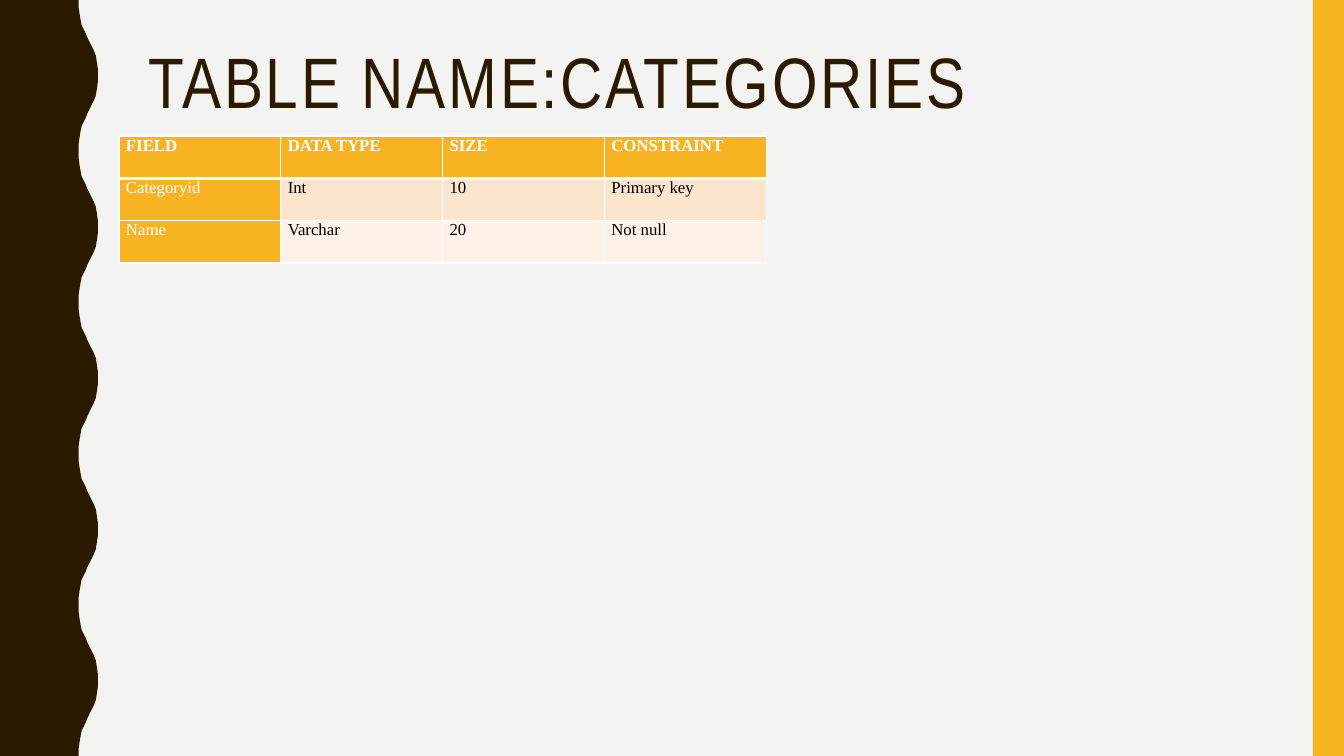
from lxml import etree
from pptx import Presentation
from pptx.dml.color import RGBColor
from pptx.enum.shapes import MSO_SHAPE
from pptx.enum.text import MSO_ANCHOR
from pptx.oxml.ns import qn
from pptx.util import Inches, Pt

COLORS = {
    "background": "F3F3F2", "brown": "2A1A00", "amber": "F8B323",
    "white": "FFFFFF", "black": "000000",
    "band_dark": "FCE5CD", "band_light": "FEF2E8",
}
WIDTH, HEIGHT = 13.33, 7.5
WAVE_PERIOD = 1.5
# Rising half of one wave, from trough to crest, as (x, y)
WAVE_RISE = [
    (0.78, 0), (0.78, 0.07), (0.79, 0.14), (0.8, 0.2), (0.81, 0.25),
    (0.83, 0.29), (0.85, 0.33), (0.87, 0.38), (0.89, 0.42), (0.91, 0.46),
    (0.93, 0.5), (0.95, 0.55), (0.96, 0.61), (0.97, 0.68), (0.97, 0.75),
]
FIELDS = [
    ["FIELD", "DATA TYPE", "SIZE", "CONSTRAINT"],
    ["Categoryid", "Int", "10", "Primary key"],
    ["Name", "Varchar", "20", "Not null"],
]


def rgb(name):
    """Return the named colour."""
    return RGBColor.from_string(COLORS[name])


def wave_edge():
    """Return the points of the wavy edge from top to bottom."""
    fall = [(x, WAVE_PERIOD - y) for x, y in reversed(WAVE_RISE[:-1])]
    wave = WAVE_RISE + fall
    return [(x, y + n * WAVE_PERIOD)
            for n in range(int(HEIGHT / WAVE_PERIOD)) for x, y in wave]


class SlideBuilder:
    """Holds the style and the current slide."""

    title_font = "Arial Narrow"
    table_font = "Times New Roman"

    def __init__(self, slide):
        """Take the slide and paint its background."""
        self.slide = slide
        slide.background.fill.solid()
        slide.background.fill.fore_color.rgb = rgb("background")

    def paint(self, shape, color):
        """Give a shape a plain fill without line or shadow."""
        shape.shadow.inherit = False
        shape.fill.solid()
        shape.fill.fore_color.rgb = rgb(color)
        shape.line.fill.background()

    def outline(self, points, color):
        """Draw a closed outline through points in inches."""
        corners = [(Inches(x), Inches(y)) for x, y in points]
        builder = self.slide.shapes.build_freeform(*corners[0])
        builder.add_line_segments(corners[1:], close=True)
        self.paint(builder.convert_to_shape(), color)

    def bar(self, left, top, width, height, color):
        """Draw a plain rectangle."""
        self.paint(self.slide.shapes.add_shape(
            MSO_SHAPE.RECTANGLE, Inches(left), Inches(top),
            Inches(width), Inches(height)), color)

    def styled_run(self, paragraph, text, font, size, color, bold=False):
        """Add a styled run to a paragraph and return it."""
        run = paragraph.add_run()
        run.text = text
        run.font.name, run.font.size, run.font.bold = font, Pt(size), bold
        run.font.color.rgb = rgb(color)
        return run

    def title(self, text, left, top, width, height):
        """Add the slide title with widened letter spacing."""
        frame = self.slide.shapes.add_textbox(
            Inches(left), Inches(top), Inches(width), Inches(height)).text_frame
        frame.word_wrap = True
        frame.vertical_anchor = MSO_ANCHOR.TOP
        paragraph = frame.paragraphs[0]
        paragraph.line_spacing = 0.9
        run = self.styled_run(paragraph, text, self.title_font, 51, "brown")
        run._r.get_or_add_rPr().set("spc", "200")

    def borders(self, cell, top, bottom):
        """Give a cell white borders, with top and bottom widths in points."""
        props = cell._tc.get_or_add_tcPr()
        for side, width in (("L", 1), ("R", 1), ("T", top), ("B", bottom)):
            line = etree.SubElement(props, qn(f"a:ln{side}"), w=str(Pt(width)))
            fill = etree.SubElement(line, qn("a:solidFill"))
            etree.SubElement(fill, qn("a:srgbClr"), val=COLORS["white"])

    def table(self, rows, left, top, width, row_height):
        """Add a table with a header row, a header column and banded rows."""
        count = len(rows[0])
        table = self.slide.shapes.add_table(
            len(rows), count, Inches(left), Inches(top),
            Inches(width), Inches(row_height * len(rows))).table
        table.first_col = True
        for column in table.columns:
            column.width = Inches(width / count)
        for r, texts in enumerate(rows):
            table.rows[r].height = Inches(row_height)
            band = "band_dark" if r % 2 else "band_light"
            for c, text in enumerate(texts):
                cell = table.cell(r, c)
                header = r == 0 or c == 0
                cell.margin_left = cell.margin_right = Inches(0.07)
                cell.margin_top = cell.margin_bottom = 0
                self.borders(cell, 3 if r == 1 else 1, 3 if r == 0 else 1)
                cell.fill.solid()
                cell.fill.fore_color.rgb = rgb("amber" if header else band)
                self.styled_run(cell.text_frame.paragraphs[0], text,
                                self.table_font, 12,
                                "white" if header else "black", r == 0)


def main():
    """Build and save the slide."""
    deck = Presentation()
    deck.slide_width, deck.slide_height = Inches(WIDTH), Inches(HEIGHT)
    page = SlideBuilder(deck.slides.add_slide(deck.slide_layouts[6]))
    page.outline([(0, 0), *wave_edge(), (0, HEIGHT)], "brown")
    page.bar(13.02, 0, 0.31, HEIGHT, "amber")
    page.title("TABLE NAME:CATEGORIES", 1.37, 0.42, 11.13, 1.63)
    page.table(FIELDS, 1.18, 1.35, 6.42, 0.42)
    deck.save("out.pptx")


main()
